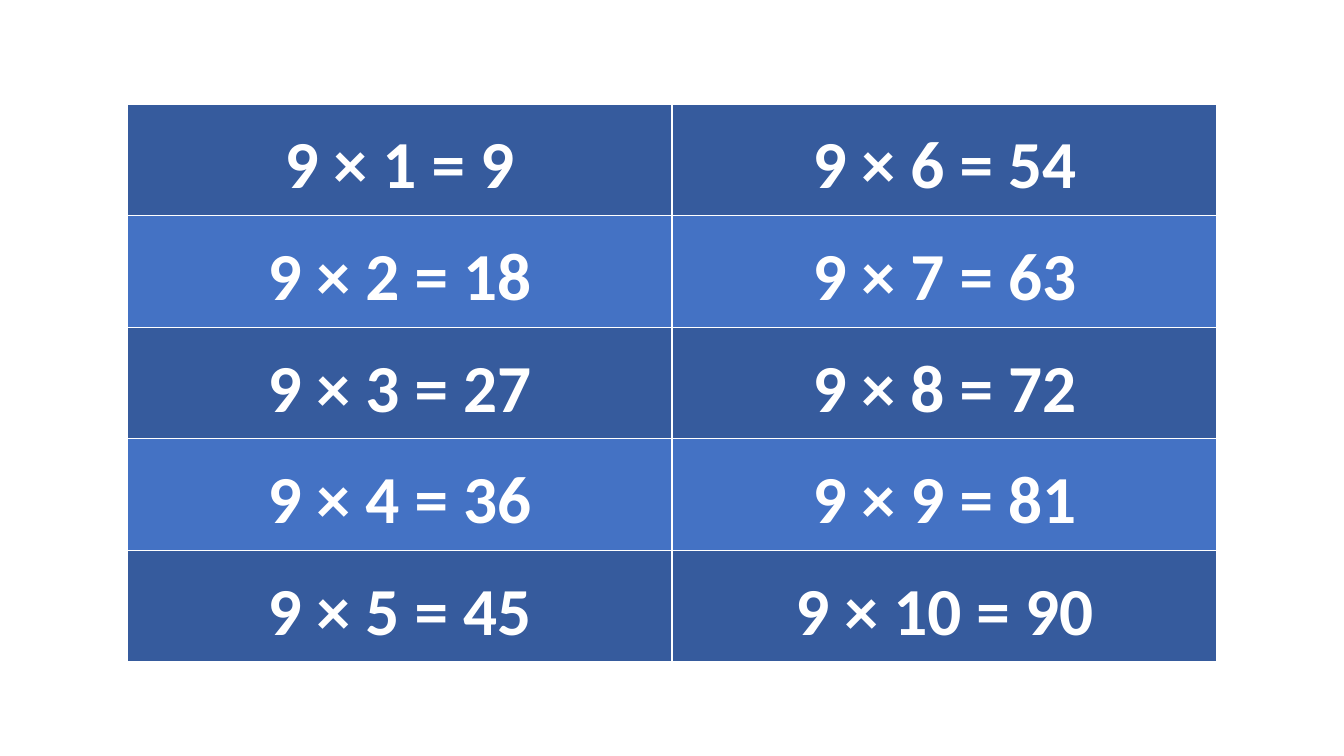
import pptx
import pptx.util
import pptx.dml.color
import pptx.enum.text

PX = 914400 / 100.8
COLORS = {"dark": "365B9D", "light": "4472C4", "text": "FFFFFF"}
FACTOR, ROWS, COLS = 9, 5, 2


def emu(px):
    return pptx.util.Emu(round(px * PX))


def color(name):
    return pptx.dml.color.RGBColor.from_string(COLORS[name])


def fill_cell(cell, text, shade):
    cell.fill.solid()
    cell.fill.fore_color.rgb = color(shade)
    cell.vertical_anchor = pptx.enum.text.MSO_ANCHOR.MIDDLE
    cell.margin_left = cell.margin_right = emu(7)
    cell.margin_top = cell.margin_bottom = 0
    para = cell.text_frame.paragraphs[0]
    para.text = text
    para.alignment = pptx.enum.text.PP_ALIGN.CENTER
    para.line_spacing = 1.15
    para.space_before = pptx.util.Pt(42)
    para.space_after = pptx.util.Pt(36)
    font = para.font
    font.name, font.size, font.bold = "Calibri", pptx.util.Pt(48), True
    font.color.rgb = color("text")


def times_table(slide, left, top, width, height):
    frame = slide.shapes.add_table(
        ROWS, COLS, emu(left), emu(top), emu(width), emu(height))
    table = frame.table
    table.first_row = table.horz_banding = False
    for col in table.columns:
        col.width = emu(width / COLS)
    for r, row in enumerate(table.rows):
        row.height = emu(height / ROWS)
        # Products run down each column; shades alternate by row
        for c, cell in enumerate(row.cells):
            n = c * ROWS + r + 1
            fill_cell(cell, f"{FACTOR} × {n} = {FACTOR * n}",
                      "light" if r % 2 else "dark")


# Slide with the table alone
deck = pptx.Presentation()
deck.slide_width, deck.slide_height = emu(1344), emu(756)
slide = deck.slides.add_slide(deck.slide_layouts[6])
times_table(slide, 127, 104, 1090, 558)
deck.save("out.pptx")
